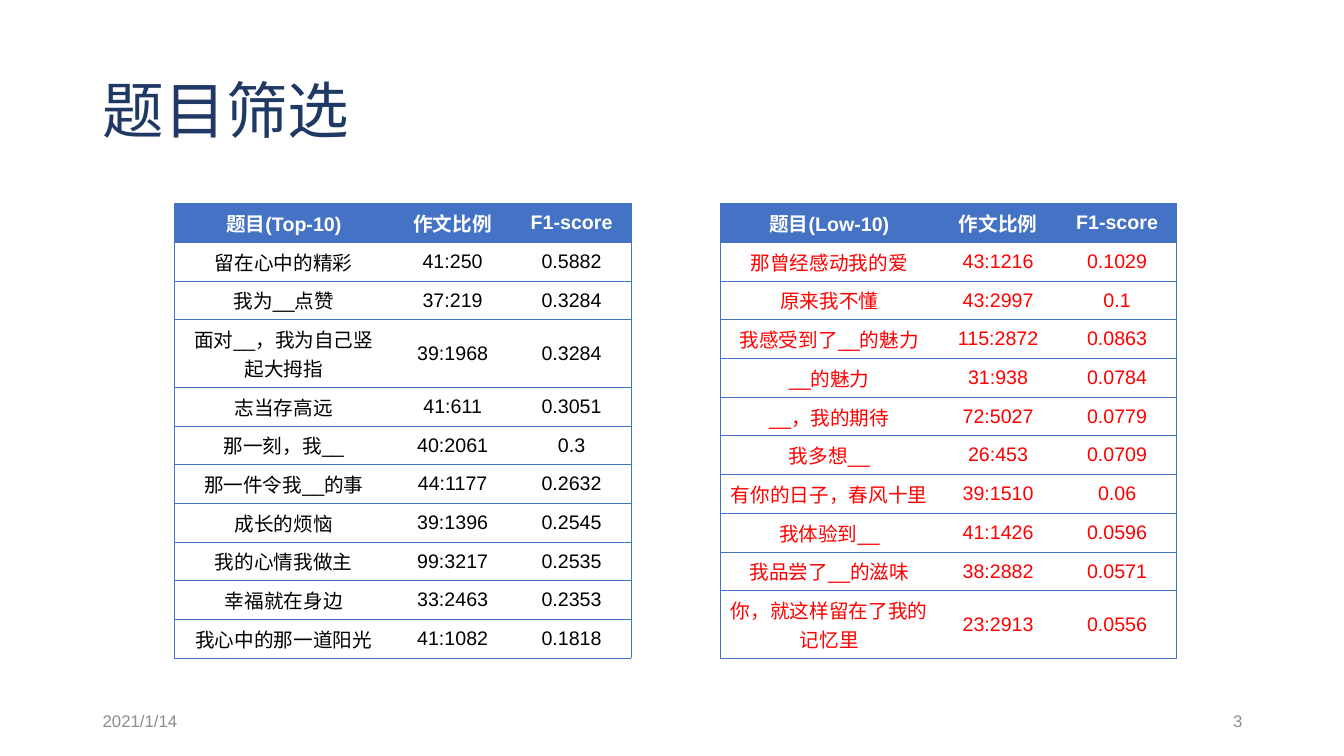
from lxml import etree
from pptx import Presentation
from pptx.dml.color import RGBColor
from pptx.enum.text import MSO_ANCHOR as Anchor, PP_ALIGN as Align
from pptx.oxml.ns import qn
from pptx.util import Inches, Pt

NAVY = RGBColor(0x20, 0x38, 0x64)
BLUE = RGBColor(0x44, 0x72, 0xC4)
GRAY = RGBColor(0x8C, 0x8C, 0x8C)
WHITE = RGBColor(0xFF, 0xFF, 0xFF)
BLACK = RGBColor(0x00, 0x00, 0x00)
RED = RGBColor(0xFF, 0x00, 0x00)

COLUMN_WIDTHS = (2.17, 1.18, 1.18)
TABLE_HEIGHT = 4.51
TALL_ROW_HEIGHT = 0.67

TOP_ROWS = [
    ("题目(Top-10)", "作文比例", "F1-score"),
    ("留在心中的精彩", "41:250", "0.5882"),
    ("我为__点赞", "37:219", "0.3284"),
    ("面对__，我为自己竖起大拇指", "39:1968", "0.3284"),
    ("志当存高远", "41:611", "0.3051"),
    ("那一刻，我__", "40:2061", "0.3"),
    ("那一件令我__的事", "44:1177", "0.2632"),
    ("成长的烦恼", "39:1396", "0.2545"),
    ("我的心情我做主", "99:3217", "0.2535"),
    ("幸福就在身边", "33:2463", "0.2353"),
    ("我心中的那一道阳光", "41:1082", "0.1818"),
]
LOW_ROWS = [
    ("题目(Low-10)", "作文比例", "F1-score"),
    ("那曾经感动我的爱", "43:1216", "0.1029"),
    ("原来我不懂", "43:2997", "0.1"),
    ("我感受到了__的魅力", "115:2872", "0.0863"),
    ("__的魅力", "31:938", "0.0784"),
    ("__，我的期待", "72:5027", "0.0779"),
    ("我多想__", "26:453", "0.0709"),
    ("有你的日子，春风十里", "39:1510", "0.06"),
    ("我体验到__", "41:1426", "0.0596"),
    ("我品尝了__的滋味", "38:2882", "0.0571"),
    ("你，就这样留在了我的记忆里", "23:2913", "0.0556"),
]


def write_text(tf, text, size=14, color=BLACK, font="Arial", bold=False,
               align=Align.LEFT, spacing=None):
    """Write one formatted paragraph into a text frame."""
    p = tf.paragraphs[0]
    p.alignment = align
    p.line_spacing = spacing
    r = p.add_run()
    r.text = text
    r.font.size = Pt(size)
    r.font.name = font
    r.font.bold = bold
    r.font.color.rgb = color


def add_title(slide, text):
    """Place and fill the title placeholder."""
    sp = slide.shapes.title
    sp.left, sp.top = Inches(0.92), Inches(0.4)
    sp.width, sp.height = Inches(11.5), Inches(1.45)
    sp.text_frame.vertical_anchor = Anchor.MIDDLE
    write_text(sp.text_frame, text, size=44, color=NAVY,
               font="Times New Roman", spacing=0.9)


def add_footer(slide, text, left, align):
    """Add a small gray text at the foot of the slide."""
    sp = slide.shapes.add_textbox(Inches(left), Inches(6.95), Inches(3), Inches(0.4))
    tf = sp.text_frame
    tf.word_wrap = True
    tf.vertical_anchor = Anchor.MIDDLE
    write_text(tf, text, size=12, color=GRAY, align=align)


def set_borders(cell, sides):
    """Draw a thin blue line on the named sides and none on the others."""
    tc_pr = cell._tc.get_or_add_tcPr()
    for side in "LRTB":
        ln = etree.SubElement(tc_pr, qn(f"a:ln{side}"), w=str(Pt(0.5)))
        if side in sides:
            fill = etree.SubElement(ln, qn("a:solidFill"))
            etree.SubElement(fill, qn("a:srgbClr"), val=str(BLUE))
        else:
            etree.SubElement(ln, qn("a:noFill"))


def add_score_table(slide, rows, left, color, tall_row):
    """Add a table of essay titles with a blue header and one two-line row."""
    row_height = (TABLE_HEIGHT - TALL_ROW_HEIGHT) / (len(rows) - 1)
    table = slide.shapes.add_table(
        len(rows), len(COLUMN_WIDTHS), Inches(left), Inches(2.02),
        Inches(sum(COLUMN_WIDTHS)), Inches(TABLE_HEIGHT)).table
    table.horz_banding = False
    for column, width in zip(table.columns, COLUMN_WIDTHS):
        column.width = Inches(width)
    for i, values in enumerate(rows):
        table.rows[i].height = Inches(TALL_ROW_HEIGHT if i == tall_row else row_height)
        header = i == 0
        for j, value in enumerate(values):
            cell = table.cell(i, j)
            set_borders(cell, "TB" + {0: "L", len(values) - 1: "R"}.get(j, ""))
            if header:
                cell.fill.solid()
                cell.fill.fore_color.rgb = BLUE
            else:
                cell.fill.background()
            cell.vertical_anchor = Anchor.MIDDLE
            write_text(cell.text_frame, value, color=WHITE if header else color,
                       bold=header, align=Align.CENTER)


def main():
    """Build the slide and save it."""
    prs = Presentation()
    prs.slide_width, prs.slide_height = Inches(13.33), Inches(7.5)
    slide = prs.slides.add_slide(prs.slide_layouts[5])
    add_title(slide, "题目筛选")
    add_footer(slide, "2021/1/14", 0.92, Align.LEFT)
    add_footer(slide, "3", 9.42, Align.RIGHT)
    add_score_table(slide, TOP_ROWS, 1.73, BLACK, tall_row=3)
    add_score_table(slide, LOW_ROWS, 7.14, RED, tall_row=10)
    prs.save("out.pptx")


if __name__ == "__main__":
    main()
